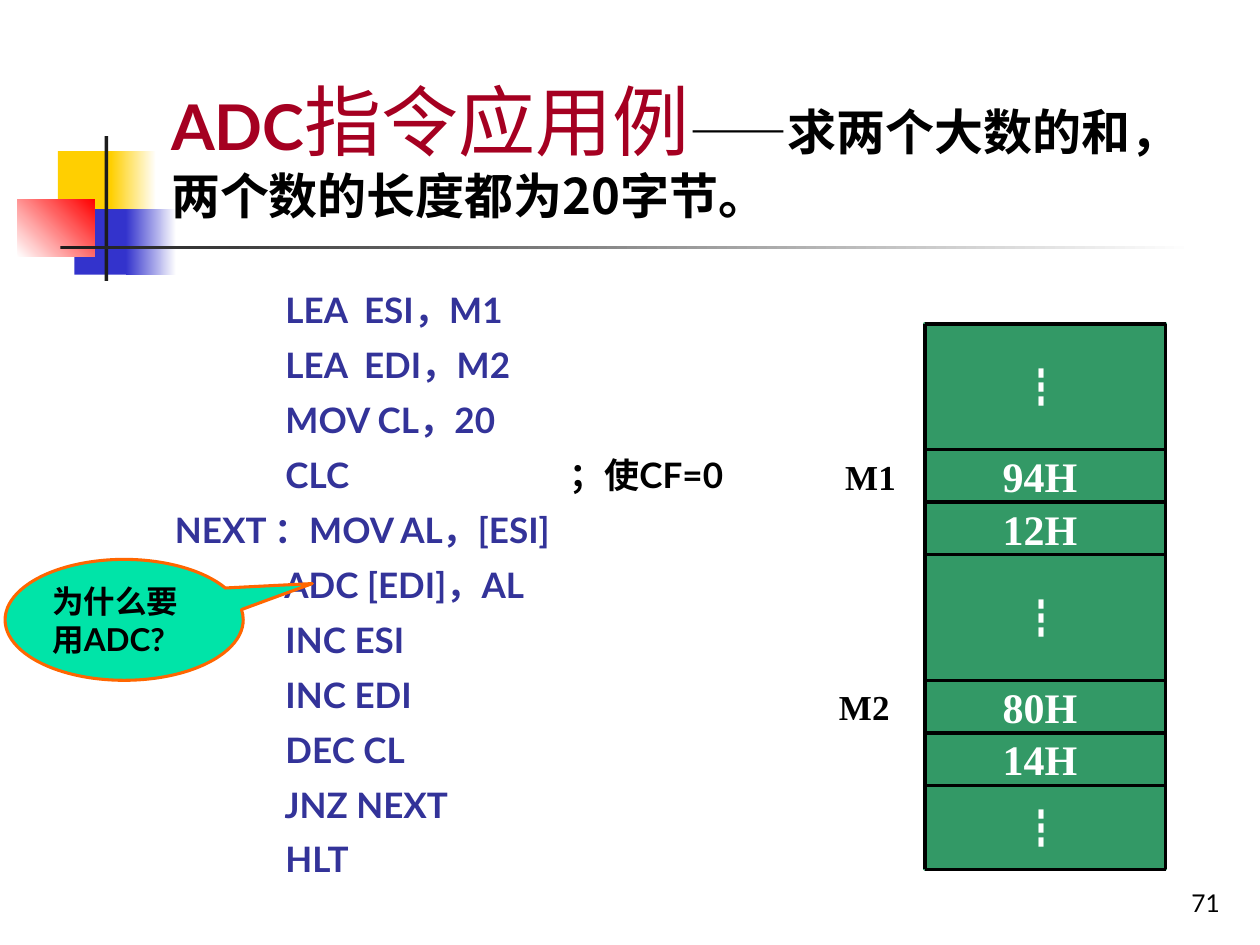
"""Builds the ADC instruction slide: a code listing beside a memory map."""
from itertools import accumulate
from lxml import etree
from pptx import Presentation
from pptx.dml.color import RGBColor
from pptx.enum.shapes import MSO_CONNECTOR, MSO_SHAPE
from pptx.enum.text import MSO_ANCHOR, PP_ALIGN
from pptx.oxml.ns import qn
from pptx.util import Inches, Pt

RECT, CALLOUT = MSO_SHAPE.RECTANGLE, MSO_SHAPE.OVAL_CALLOUT
STRAIGHT = MSO_CONNECTOR.STRAIGHT
TOP, MIDDLE, BOTTOM = MSO_ANCHOR.TOP, MSO_ANCHOR.MIDDLE, MSO_ANCHOR.BOTTOM
RIGHT = PP_ALIGN.RIGHT

COLORS = {
    "black": "000000", "white": "FFFFFF", "ink": "1C1C1C", "yellow": "FFCF01",
    "blue": "3333CC", "red": "FF0000", "crimson": "A50021", "code": "333399",
    "green": "339966", "mint": "00E4A8", "orange": "FF6600",
}
LATO, CJK, TIMES = "Lato", "Noto Sans CJK SC", "Times New Roman"

# Left, top, width and height in hundredths of the slide's width
DECOR = [
    ((4.6, 12, 4.8, 5.2), ["yellow"], 0),
    ((8.8, 12, 3.6, 5.2), ["yellow", "white"], 0),
    ((5.9, 16.6, 4.6, 5.2), ["blue"], 0),
    ((10, 16.6, 4, 5.2), ["blue", "white"], 0),
    ((1.4, 15.8, 6.1, 4.6), ["white", "red"], 45),
    ((8.3, 10.8, 0.3, 11.5), ["ink"], 0),
    ((4.8, 19.5, 90, 0.3), ["ink", "white"], 0),
]
TITLE = [
    ("ADC", 36, LATO, "crimson", True),
    ("指令应用例", 44, LATO, "crimson", False),
    ("——求两个大数的和，两个数的长度都为20字节。", 28, CJK, "black", True),
]
CODE = [
    ("             LEA  ESI，M1", ""),
    ("             LEA  EDI，M2", ""),
    ("             MOV CL，20", ""),
    ("             CLC", "；使CF=0"),
    ("NEXT ：MOV AL，[ESI]", ""),
    ("             ADC [EDI]，AL", ""),
    ("             INC ESI", ""),
    ("             INC EDI", ""),
    ("             DEC CL", ""),
    ("             JNZ NEXT", ""),
    ("             HLT", ""),
]
MEMORY = [
    ("┇", 2.4, None), ("94H", 1, ("M1", 66.1)), ("12H", 1, None),
    ("┇", 2.4, None), ("80H", 1, ("M2", 65.6)), ("14H", 1, None),
    ("┇", 1.6, None),
]
MAP_LEFT, MAP_TOP, MAP_WIDTH, MAP_HEIGHT = 73.4, 25.7, 19.1, 43.3

prs = Presentation()
prs.slide_width, prs.slide_height = Inches(10), Inches(7.5)
s = prs.slides.add_slide(prs.slide_layouts[6])
UNIT = prs.slide_width / 100


def rgb(name):
    return RGBColor.from_string(COLORS[name])


def scaled(*values):
    return [round(v * UNIT) for v in values]


def style(r, size, font, color, bold):
    r.font.size, r.font.name, r.font.bold = Pt(size), font, bold
    r.font.color.rgb = rgb(color)
    r.font._element.find(qn("a:latin")).addnext(
        etree.Element(qn("a:ea"), typeface=CJK))


def write(p, runs):
    for text, *look in runs:
        r = p.add_run()
        r.text = text
        style(r, *look)


def add_text(box, runs=(), anchor=TOP, align=None):
    tf = s.shapes.add_textbox(*scaled(*box)).text_frame
    tf.word_wrap, tf.vertical_anchor = True, anchor
    tf.paragraphs[0].alignment = align
    write(tf.paragraphs[0], runs)
    return tf


def add_shape(kind, box, fills, angle=0, line=None, width=1):
    sp = s.shapes.add_shape(kind, *scaled(*box))
    sp.shadow.inherit = False
    if len(fills) == 1:
        sp.fill.solid()
        sp.fill.fore_color.rgb = rgb(fills[0])
    else:
        sp.fill.gradient()
        sp.fill.gradient_angle = angle
        for stop, name in zip(sp.fill.gradient_stops, fills):
            stop.color.rgb = rgb(name)
    if line:
        sp.line.color.rgb, sp.line.width = rgb(line), Pt(width)
    else:
        sp.line.fill.background()
    return sp


def add_line(*ends):
    c = s.shapes.add_connector(STRAIGHT, *scaled(*ends))
    c.line.color.rgb, c.line.width = rgb("black"), Pt(2)
    etree.SubElement(c._element.spPr, qn("a:effectLst"))


def add_code():
    tf = add_text((12.9, 22.1, 52.8, 50.1))
    for i, (code, comment) in enumerate(CODE):
        p = tf.add_paragraph() if i else tf.paragraphs[0]
        p.line_spacing, p.space_after = 1.1, Pt(1)
        p.space_before = Pt(4 if i else 0)
        runs = [(code, 20, LATO, "code", True)]
        if comment:
            tabs = etree.SubElement(p._p.get_or_add_pPr(), qn("a:tabLst"))
            etree.SubElement(tabs, qn("a:tab"), pos=str(Inches(3.13)), algn="l")
            runs.append(("\t" + comment, 20, LATO, "black", True))
        write(p, runs)


def add_memory():
    add_shape(RECT, (MAP_LEFT, MAP_TOP, MAP_WIDTH, MAP_HEIGHT), ["green"],
              line="green", width=2)
    right, bottom = MAP_LEFT + MAP_WIDTH, MAP_TOP + MAP_HEIGHT
    for x in (MAP_LEFT, right):
        add_line(x, MAP_TOP, x, bottom)
    heights = [rows for _, rows, _ in MEMORY]
    row = MAP_HEIGHT / sum(heights)
    edges = [MAP_TOP + row * n for n in accumulate(heights, initial=0)]
    for y in edges:
        add_line(MAP_LEFT, y, right, y)
    for (value, _, label), top, end in zip(MEMORY, edges, edges[1:]):
        middle = (top + end) / 2
        dots = value == "┇"
        add_text((80 if dots else 78.6, middle - 2.5, 6.7 if dots else 8.3, 5),
                 [(value, 24, CJK if dots else TIMES, "white", not dots)])
        if label:
            name, left = label
            add_text((left, middle - 2.15, 7.2, 4.3),
                     [(name, 20, TIMES, "black", True)])


def add_callout():
    sp = add_shape(CALLOUT, (0.4, 44.4, 18.9, 9.6), ["mint"],
                   line="orange", width=1.75)
    sp.adjustments[0], sp.adjustments[1] = 0.79, -0.3
    tf = sp.text_frame
    tf.word_wrap, tf.vertical_anchor = True, MIDDLE
    p = tf.paragraphs[0]
    p.text, p.alignment = "为什么要用ADC?", PP_ALIGN.LEFT
    style(p.runs[0], 18, LATO, "black", True)


for box, fills, angle in DECOR:
    add_shape(RECT, box, fills, angle)
add_text((77, 68.3, 20.8, 5), [("71", 14, LATO, "black", False)], BOTTOM, RIGHT)
add_text((12.6, 2.3, 85.2, 16), TITLE, BOTTOM)
add_code()
add_memory()
add_callout()
prs.save("out.pptx")
